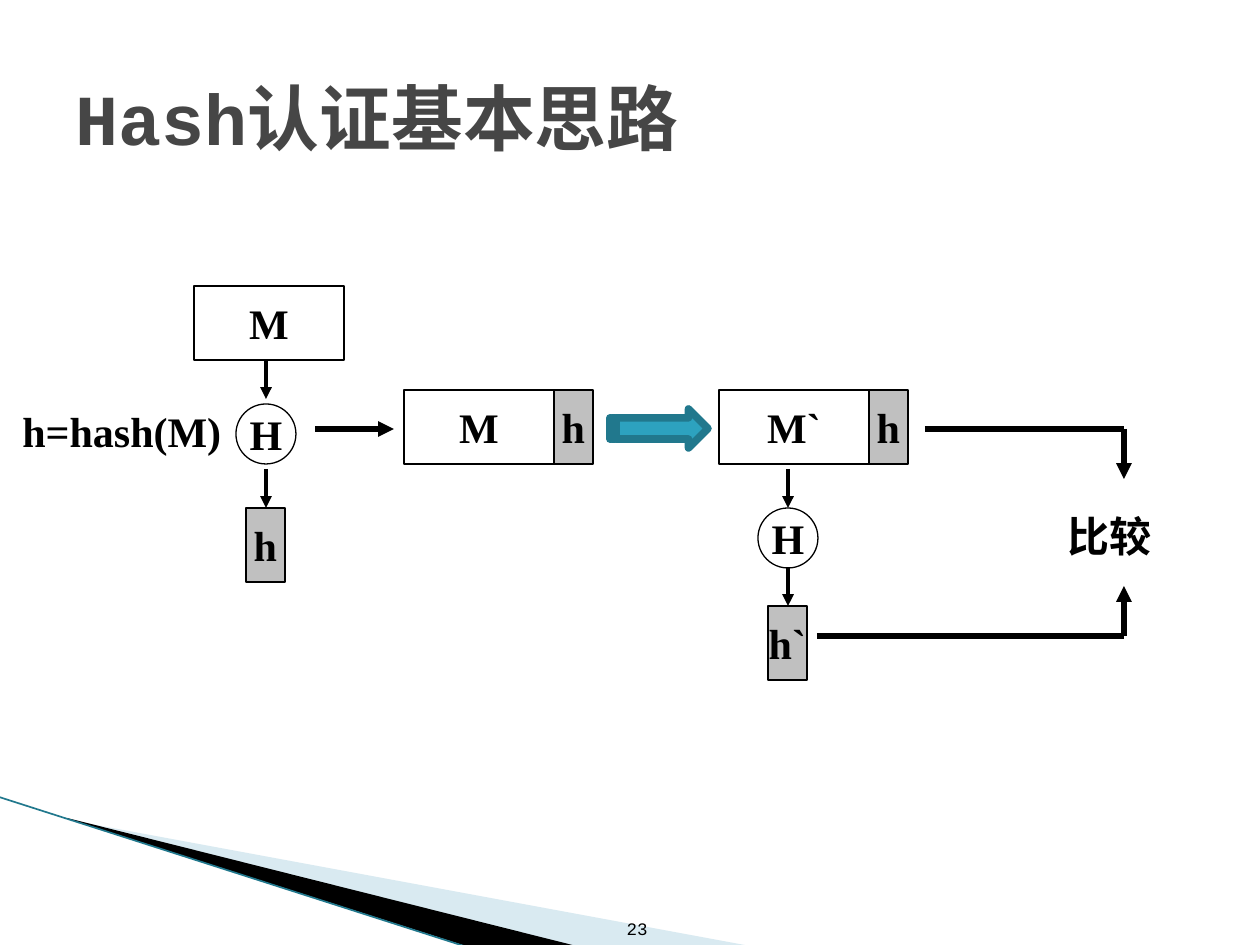
from dataclasses import dataclass

from lxml import etree
from pptx import Presentation
from pptx.dml.color import RGBColor
from pptx.enum.shapes import MSO_CONNECTOR, MSO_SHAPE
from pptx.enum.text import MSO_ANCHOR, MSO_AUTO_SIZE, PP_ALIGN
from pptx.oxml.ns import qn
from pptx.util import Pt

SCALE = 914400 / 126  # EMU per px


@dataclass(frozen=True)
class Theme:
    black: str = "000000"
    white: str = "FFFFFF"
    gray: str = "C0C0C0"
    title: str = "464646"
    teal: str = "2DA2BF"
    dark_teal: str = "21788D"
    pale_blue: str = "A0CBDC"
    title_font: str = "Courier New"
    body_font: str = "Times New Roman"
    title_size: int = 41
    body_size: int = 24
    number_size: int = 10


theme = Theme()


def set_text(shape, text, font, size, color, align, anchor, bold=True, wrap=True):
    frame = shape.text_frame
    frame.text = text
    frame.auto_size = MSO_AUTO_SIZE.NONE
    frame.word_wrap = wrap
    frame.vertical_anchor = anchor
    paragraph = frame.paragraphs[0]
    paragraph.alignment = align
    paragraph.font.name = font
    paragraph.font.size = Pt(size)
    paragraph.font.bold = bold
    paragraph.font.color.rgb = RGBColor.from_string(color)


def add_line(start, end, width, color=theme.black, arrow=False):
    points = [round(value * SCALE) for value in (*start, *end)]
    line = slide.shapes.add_connector(MSO_CONNECTOR.STRAIGHT, *points)
    line.line.width = Pt(width)
    line.line.color.rgb = RGBColor.from_string(color)
    if arrow:
        etree.SubElement(line.line._get_or_add_ln(), qn("a:tailEnd"), type="triangle")
    etree.SubElement(line._element.spPr, qn("a:effectLst"))


presentation = Presentation()
presentation.slide_width = round(1260 * SCALE)
presentation.slide_height = round(945 * SCALE)
slide = presentation.slides.add_slide(presentation.slide_layouts[5])

# Corner decoration
wedges = [
    ([(69, 820), (750, 946), (575, 946), (69, 819)], theme.pale_blue, 40),
    ([(67, 818), (576, 946), (469, 947), (68, 819)], theme.black, 100),
]
for points, color, opacity in wedges:
    builder = slide.shapes.build_freeform(*points[0], scale=SCALE)
    builder.add_line_segments(points[1:], close=True)
    wedge = builder.convert_to_shape()
    wedge.shadow.inherit = False
    wedge.fill.solid()
    wedge.fill.fore_color.rgb = RGBColor.from_string(color)
    wedge.line.fill.background()
    if opacity < 100:
        rgb = wedge._element.spPr.find(".//" + qn("a:srgbClr"))
        etree.SubElement(rgb, qn("a:alpha"), val=str(opacity * 1000))
add_line((-1, 797), (467, 947), 0.95, theme.dark_teal)

# Title
title = slide.shapes.title
title.left, title.top, title.width, title.height = [
    round(value * SCALE) for value in (63, 38, 1134, 157)]
set_text(title, "Hash认证基本思路", theme.title_font, theme.title_size,
         theme.title, PP_ALIGN.LEFT, MSO_ANCHOR.MIDDLE)

# Labels and slide number
labels = [
    ("h=hash(M)", (10, 399, 227, 63)),
    ("比较", (1055, 504, 118, 63)),
]
for text, bounds in labels:
    label = slide.shapes.add_textbox(*[round(value * SCALE) for value in bounds])
    set_text(label, text, theme.body_font, theme.body_size, theme.black,
             PP_ALIGN.LEFT, MSO_ANCHOR.TOP)
number = slide.shapes.add_textbox(*[round(value * SCALE) for value in (590, 883, 70, 62)])
set_text(number, "23", theme.title_font, theme.number_size, theme.black,
         PP_ALIGN.RIGHT, MSO_ANCHOR.BOTTOM, bold=False)

# Message, hash function and digest blocks
kinds = {
    "message": (MSO_SHAPE.RECTANGLE, 150, 74, theme.white),
    "function": (MSO_SHAPE.OVAL, 60, 60, theme.white),
    "digest": (MSO_SHAPE.RECTANGLE, 39, 74, theme.gray),
}
blocks = [
    ("message", "M", 194, 286),
    ("function", "H", 236, 404),
    ("digest", "h", 246, 508),
    ("message", "M", 404, 390),
    ("digest", "h", 554, 390),
    ("message", "M`", 719, 390),
    ("digest", "h", 869, 390),
    ("function", "H", 758, 508),
    ("digest", "h`", 768, 606),
]
for kind, text, left, top in blocks:
    preset, width, height, color = kinds[kind]
    block = slide.shapes.add_shape(
        preset, *[round(value * SCALE) for value in (left, top, width, height)])
    block.shadow.inherit = False
    block.fill.solid()
    block.fill.fore_color.rgb = RGBColor.from_string(color)
    block.line.color.rgb = RGBColor.from_string(theme.black)
    block.line.width = Pt(0.75)
    set_text(block, text, theme.body_font, theme.body_size, theme.black,
             PP_ALIGN.CENTER, MSO_ANCHOR.MIDDLE, wrap=False)

# Transmission arrow
transmission = slide.shapes.add_shape(
    MSO_SHAPE.STRIPED_RIGHT_ARROW, *[round(value * SCALE) for value in (610, 409, 98, 39)])
transmission.adjustments[0] = 0.54
transmission.adjustments[1] = 0.5
transmission.shadow.inherit = False
transmission.fill.solid()
transmission.fill.fore_color.rgb = RGBColor.from_string(theme.teal)
transmission.line.color.rgb = RGBColor.from_string(theme.dark_teal)
transmission.line.width = Pt(4.33)
etree.SubElement(transmission.line._get_or_add_ln(), qn("a:round"))

# Short downward arrows between blocks
for x, top in [(266, 360), (266, 469), (788, 469), (788, 567)]:
    add_line((x, top), (x, top + 39), 2.25, arrow=True)

# Sending arrow and the two paths to the comparison
add_line((315, 429), (394, 429), 3, arrow=True)
for left, y, arrow_end in [(925, 429, 479), (817, 636, 586)]:
    add_line((left, y), (1124, y), 3)
    add_line((1124, y), (1124, arrow_end), 3, arrow=True)

presentation.save("out.pptx")
